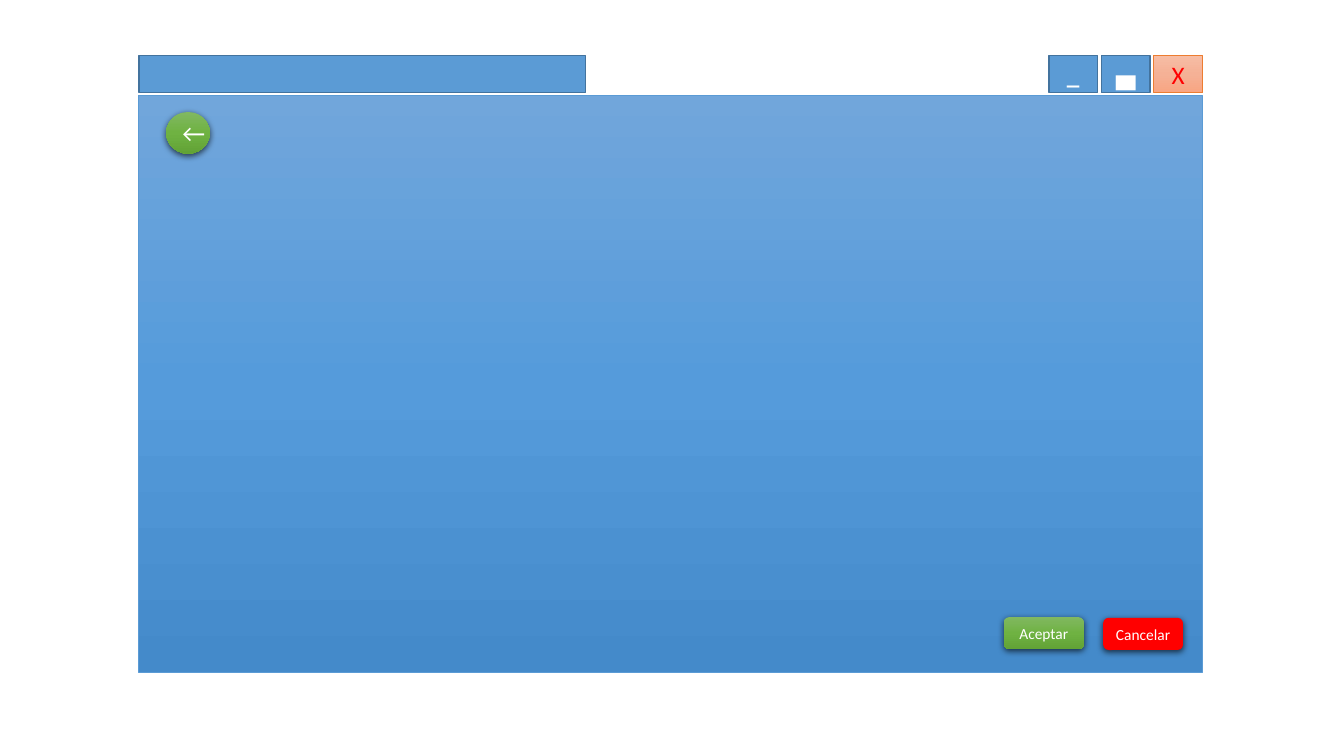
import copy

import pptx
import pptx.dml.color
import pptx.enum.shapes
import pptx.enum.text
import pptx.oxml
import pptx.oxml.ns
import pptx.util

Pt = pptx.util.Pt
RGBColor = pptx.dml.color.RGBColor
SHAPES = pptx.enum.shapes.MSO_SHAPE

WHITE = RGBColor(0xFF, 0xFF, 0xFF)
RED = RGBColor(0xFF, 0x00, 0x00)
BLUE = RGBColor(0x5B, 0x9B, 0xD5)
DARK_BLUE = RGBColor(0x43, 0x73, 0x9E)
ORANGE = RGBColor(0xED, 0x7D, 0x31)
BLUE_FADE = (RGBColor(0x71, 0xA6, 0xDB), RGBColor(0x55, 0x9B, 0xDB), RGBColor(0x44, 0x8A, 0xCA))
PEACH_FADE = (RGBColor(0xF7, 0xBD, 0xA5), RGBColor(0xF5, 0xB1, 0x96), RGBColor(0xF8, 0xA5, 0x82))
GREEN_FADE = (RGBColor(0x81, 0xB8, 0x61), RGBColor(0x6F, 0xB2, 0x42), RGBColor(0x62, 0xA3, 0x36))

SHADOW = (
    '<a:outerShdw xmlns:a="http://schemas.openxmlformats.org/drawingml/2006/main" '
    'blurRad="57150" dist="19050" dir="5400000" algn="ctr" rotWithShape="0">'
    '<a:srgbClr val="000000"><a:alpha val="63000"/></a:srgbClr></a:outerShdw>'
)


def paint(fill, colours):
    """Fill with one colour, or with three fading from top to bottom."""
    if isinstance(colours, RGBColor):
        fill.solid()
        fill.fore_color.rgb = colours
        return
    fill.gradient()
    fill.gradient_angle = 270
    stop_list = fill._xPr.find(".//" + pptx.oxml.ns.qn("a:gsLst"))
    stop_list.append(copy.deepcopy(stop_list[-1]))
    for stop, colour, position in zip(fill.gradient_stops, colours, (0, 0.5, 1)):
        stop.color.rgb = colour
        stop.position = position


def add_panel(slide, box, colours, kind=SHAPES.RECTANGLE, line=None, line_width=1, shadow=False):
    """Add a preset shape in the given box and return it."""
    panel = slide.shapes.add_shape(kind, *(Pt(length) for length in box))
    panel.shadow.inherit = False
    paint(panel.fill, colours)
    if line is None:
        panel.line.fill.background()
    else:
        panel.line.color.rgb = line
        panel.line.width = Pt(line_width)
    if shadow:
        effects = panel._element.spPr.find(pptx.oxml.ns.qn("a:effectLst"))
        effects.append(pptx.oxml.parse_xml(SHADOW))
    return panel


def write(panel, text, size=18, colour=WHITE, bold=False, spacing=None, after=None):
    """Write centred text in a shape."""
    panel.text_frame.vertical_anchor = pptx.enum.text.MSO_ANCHOR.MIDDLE
    paragraph = panel.text_frame.paragraphs[0]
    paragraph.alignment = pptx.enum.text.PP_ALIGN.CENTER
    if spacing is not None:
        paragraph.line_spacing = spacing
    if after is not None:
        paragraph.space_after = Pt(after)
    run = paragraph.add_run()
    run.text = text
    run.font.name = "Calibri"
    run.font.size = Pt(size)
    run.font.bold = bold
    run.font.color.rgb = colour


def add_title_bar(slide, left, top, width, height):
    """Draw the caption strip and the three window controls."""
    add_panel(slide, (left, top, 319, height), BLUE, line=DARK_BLUE)
    control_width, pitch = 34.8, 37.5
    first = left + width - control_width - 2 * pitch
    controls = (
        ("_", BLUE, DARK_BLUE, 1, WHITE, True),
        ("▄", BLUE, DARK_BLUE, 1, WHITE, False),
        ("X", PEACH_FADE, ORANGE, 0.5, RED, False),
    )
    for index, (symbol, colours, line, line_width, colour, bold) in enumerate(controls):
        box = (first + index * pitch, top, control_width, height)
        control = add_panel(slide, box, colours, line=line, line_width=line_width)
        write(control, symbol, colour=colour, bold=bold)


def add_content(slide, left, top, width, height):
    """Draw the window body with its back, accept and cancel buttons."""
    add_panel(slide, (left, top, width, height), BLUE_FADE, line=BLUE, line_width=0.5)
    back = add_panel(slide, (left + 19.5, top + 11.6, 31.2, 29.8), GREEN_FADE,
                     kind=SHAPES.OVAL, shadow=True)
    write(back, "←")
    right, bottom = left + width, top + height
    answers = (("Aceptar", GREEN_FADE, 141.9, 39.5), ("Cancelar", RED, 71, 39))
    for label, colours, from_right, from_bottom in answers:
        box = (right - from_right, bottom - from_bottom, 57, 23)
        answer = add_panel(slide, box, colours, kind=SHAPES.ROUNDED_RECTANGLE, shadow=True)
        write(answer, label, size=11, spacing=1.07, after=8)


def main():
    """Build the window slide and save it."""
    deck = pptx.Presentation()
    deck.slide_width, deck.slide_height = Pt(960), Pt(540)
    slide = deck.slides.add_slide(deck.slide_layouts[6])
    left, width = 99.2, 759.8
    add_content(slide, left, 68.4, width, 411.9)
    add_title_bar(slide, left, 39.6, width, 26.6)
    deck.save("out.pptx")


main()
